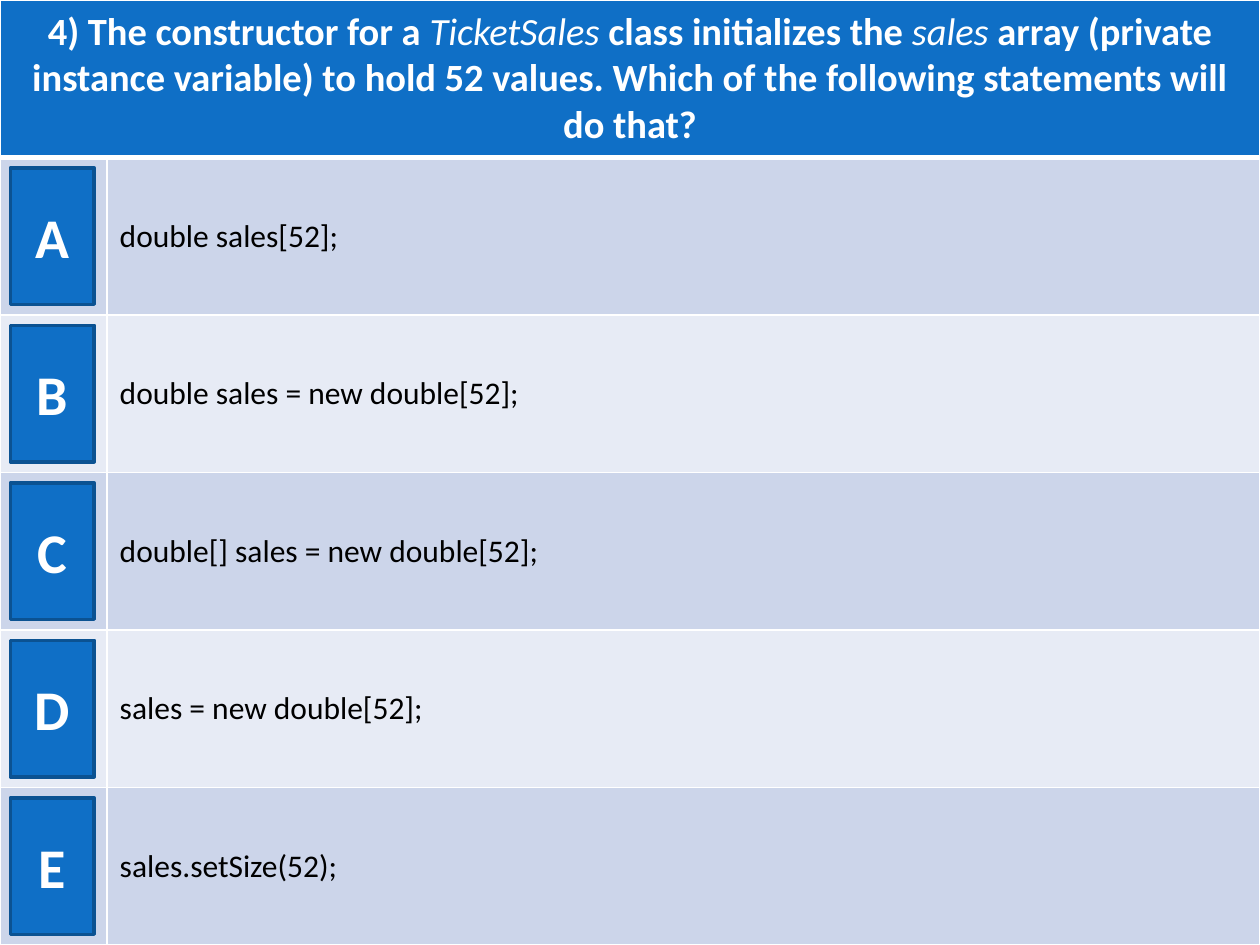
import pptx
import pptx.util
import pptx.dml.color
import pptx.enum.shapes
import pptx.enum.text
import pptx.oxml
import pptx.oxml.ns
from dataclasses import dataclass

Cm, Pt = pptx.util.Cm, pptx.util.Pt
Align = pptx.enum.text.PP_ALIGN
Anchor = pptx.enum.text.MSO_ANCHOR


@dataclass(frozen=True)
class Theme:
    font: str = "Calibri"
    back: str = "DBF5F9"
    blue: str = "0F6FC6"
    edge: str = "0B5292"
    bands: tuple = ("CCD5EA", "E7EBF5")
    white: str = "FFFFFF"
    black: str = "000000"
    head: int = 22
    body: int = 18
    mark: int = 32


def rgb(code):
    return pptx.dml.color.RGBColor.from_string(code)


def paint(item, code):
    item.fill.solid()
    item.fill.fore_color.rgb = rgb(code)


def write(frame, text, font, size, color, bold=False, align=Align.LEFT):
    """Fill a frame; parts between asterisks turn italic and not bold."""
    para = frame.paragraphs[0]
    para.alignment = align
    for i, part in enumerate(text.split("*")):
        run = para.add_run()
        run.text = part
        run.font.name = font
        run.font.size = Pt(size)
        run.font.color.rgb = rgb(color)
        slant = i % 2 == 1
        run.font.bold = bold and not slant
        run.font.italic = slant


class Deck:
    def __init__(self, theme, width, height):
        self.theme = theme
        self.file = pptx.Presentation()
        self.file.slide_width, self.file.slide_height = Cm(width), Cm(height)
        self.slide = self.file.slides.add_slide(self.file.slide_layouts[6])
        paint(self.slide.background, theme.back)

    def grid(self, cols, rows, height):
        """Add a table that starts at the top left corner."""
        table = self.slide.shapes.add_table(
            rows, len(cols), 0, 0, Cm(sum(cols)), Cm(rows * height)).table
        for col, width in zip(table.columns, cols):
            col.width = Cm(width)
        for row in table.rows:
            row.height = Cm(height)
        return table

    def cell(self, cell, fill, top=1, base=1):
        """Give a cell white borders (points) and a fill."""
        props = cell._tc.get_or_add_tcPr()
        for side, width in zip("LRTB", (1, 1, top, base)):
            props.append(pptx.oxml.parse_xml(
                f'<a:ln{side} {pptx.oxml.ns.nsdecls("a")} w="{Pt(width)}">'
                f'<a:solidFill><a:srgbClr val="{self.theme.white}"/></a:solidFill>'
                f'</a:ln{side}>'))
        paint(cell, fill)
        cell.vertical_anchor = Anchor.MIDDLE

    def button(self, text, left, top, width, height):
        look = self.theme
        shape = self.slide.shapes.add_shape(
            pptx.enum.shapes.MSO_SHAPE.ACTION_BUTTON_CUSTOM,
            Cm(left), Cm(top), Cm(width), Cm(height))
        shape.shadow.inherit = False
        paint(shape, look.blue)
        shape.line.color.rgb = rgb(look.edge)
        shape.line.width = Pt(2)
        shape.text_frame.vertical_anchor = Anchor.MIDDLE
        write(shape.text_frame, text, look.font, look.mark, look.white,
              bold=True, align=Align.CENTER)


QUESTION = ("4) The constructor for a *TicketSales *class initializes the *sales*"
            " array (private instance variable) to hold 52 values. "
            "Which of the following statements will do that?")
ANSWERS = {
    "A": "double sales[52];",
    "B": "double sales = new double[52];",
    "C": "double[] sales = new double[52];",
    "D": "sales = new double[52];",
    "E": "sales.setSize(52);",
}


def main():
    look = Theme()
    width, height = 25.4, 19.05
    deck = Deck(look, width, height)
    count = len(ANSWERS) + 1
    step = height / count
    side = 2.16
    table = deck.grid((side, width - side), count, step)

    # Question across the top row
    for cell in table.rows[0].cells:
        deck.cell(cell, look.blue, base=3)
    head = table.cell(0, 0)
    head.merge(table.cell(0, 1))
    write(head.text_frame, QUESTION, look.font, look.head, look.white,
          bold=True, align=Align.CENTER)

    # Answers in banded rows, each with its letter button
    for row, (mark, text) in enumerate(ANSWERS.items(), 1):
        for cell in table.rows[row].cells:
            deck.cell(cell, look.bands[(row - 1) % 2], top=3 if row == 1 else 1)
        write(table.cell(row, 1).text_frame, text, look.font, look.body,
              look.black)
        deck.button(mark, 0.21, row * step + 0.21, 1.69, 2.75)

    deck.file.save("out.pptx")


if __name__ == "__main__":
    main()
